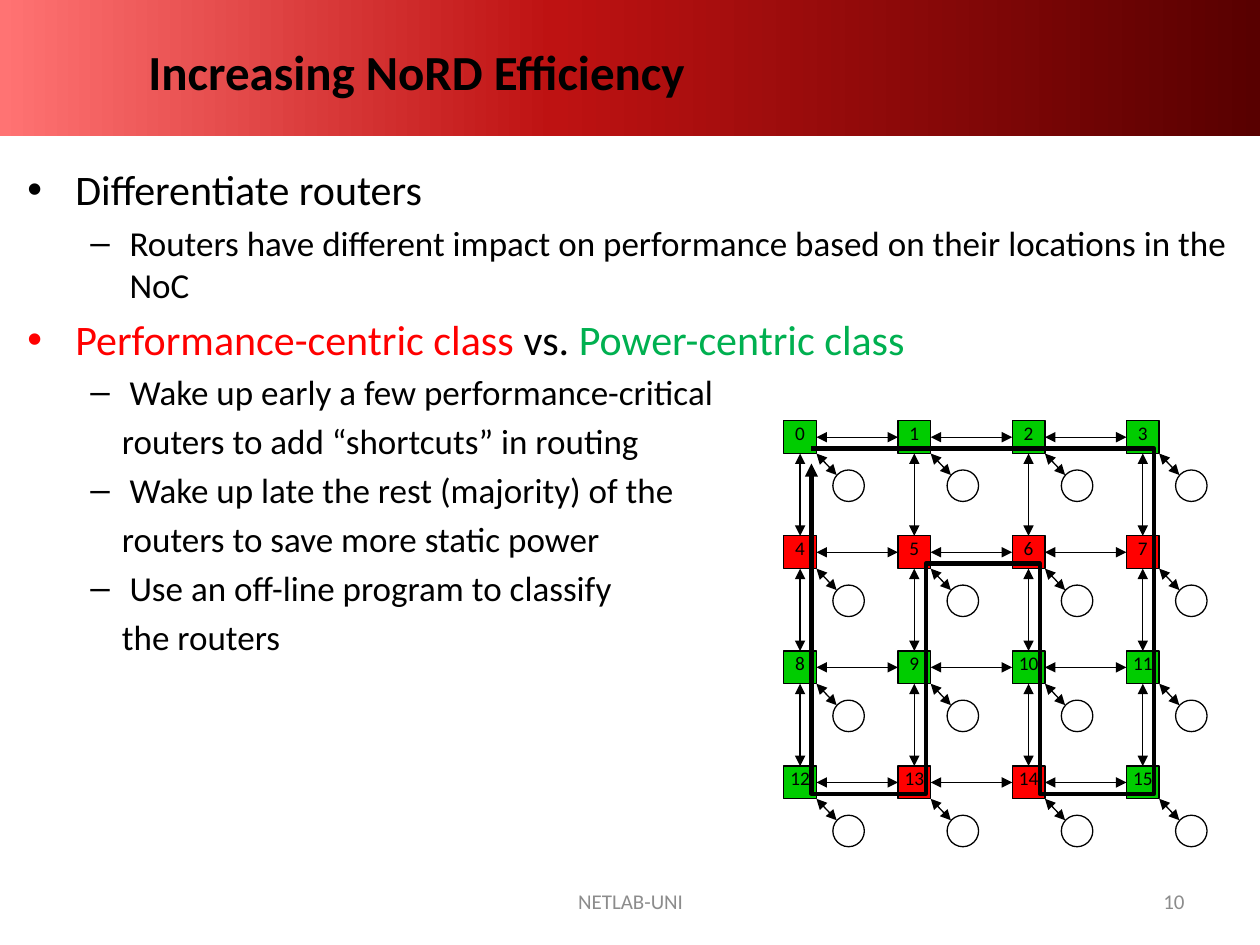
from copy import deepcopy

from lxml import etree
from pptx import Presentation
from pptx.dml.color import RGBColor
from pptx.enum.shapes import MSO_CONNECTOR, MSO_SHAPE
from pptx.enum.text import MSO_ANCHOR, PP_ALIGN
from pptx.oxml.ns import qn
from pptx.util import Inches, Pt

RECT, OVAL = MSO_SHAPE.RECTANGLE, MSO_SHAPE.OVAL
LINE = MSO_CONNECTOR.STRAIGHT
TOP, MIDDLE = MSO_ANCHOR.TOP, MSO_ANCHOR.MIDDLE
LEFT, CENTER, RIGHT = PP_ALIGN.LEFT, PP_ALIGN.CENTER, PP_ALIGN.RIGHT

COLORS = {"black": "000000", "red": "FF0000", "green": "00B050",
          "node": "00CC00", "gray": "8C8C8C", "pale": "FF7373",
          "mid": "BE1212", "dark": "580000"}
FONT = "Calibri"

# Router mesh, in inches
SIDE = 4
LEFT_X, TOP_Y = 6.22, 3.34
STEP_X, STEP_Y = 2.72 / 3, 2.74 / 3
BOX, CORE = 0.26, 0.25
CORE_GAP = 0.39
HOT = {4, 5, 6, 7, 13, 14}
RING = [(0, 0), (3, 0), (3, 3), (2, 3), (2, 1), (1, 1), (1, 3), (0, 3)]
RING_GAP = 0.22

# Paragraph levels: left margin, first-line indent, bullet, size
LEVELS = {"main": (0.38, -0.38, "\u2022", 24),
          "sub": (0.81, -0.31, "\u2013", 20),
          "more": (0.75, 0, None, 20)}
BODY = [
    ("main", [("Differentiate routers", "black")]),
    ("sub", [("Routers have different impact on performance based on "
              "their locations in the NoC", "black")]),
    ("main", [("Performance-centric class ", "red"), ("vs. ", "black"),
              ("Power-centric class", "green")]),
    ("sub", [("Wake up early a few performance-critical", "black")]),
    ("more", [("routers to add \u201cshortcuts\u201d in routing", "black")]),
    ("sub", [("Wake up late the rest (majority) of the", "black")]),
    ("more", [("routers to save more static power", "black")]),
    ("sub", [("Use an off-line program to classify", "black")]),
    ("more", [("the routers", "black")]),
]


def put(item, values):
    """Set each named value on an object."""
    for name, value in values.items():
        setattr(item, name, value)


def rgb(name):
    """Look up a named colour."""
    return RGBColor.from_string(COLORS[name])


def add_run(para, text, size, color="black", bold=False):
    """Add one styled run to a paragraph."""
    run = para.add_run()
    run.text = text
    put(run.font, {"name": FONT, "size": Pt(size), "bold": bold})
    run.font.color.rgb = rgb(color)


def add_text(slide, area, anchor=TOP):
    """Add an empty wrapping text box and return its frame."""
    frame = slide.shapes.add_textbox(*map(Inches, area)).text_frame
    put(frame, {"word_wrap": True, "vertical_anchor": anchor})
    return frame


def add_label(slide, area, text, align, size, **style):
    """Add a text box that holds a single line."""
    para = add_text(slide, area, MIDDLE).paragraphs[0]
    para.alignment = align
    add_run(para, text, size, **style)


def add_shape(shapes, kind, area, fill=None):
    """Add a thinly outlined shape, filled or hollow."""
    shape = shapes.add_shape(kind, *map(Inches, area))
    shape.shadow.inherit = False
    if fill:
        shape.fill.solid()
        shape.fill.fore_color.rgb = rgb(fill)
    else:
        shape.fill.background()
    set_line(shape, 0.75)
    return shape


def set_line(shape, width, *ends):
    """Give a shape a black line, with arrowheads at the named ends."""
    shape.line.color.rgb = rgb("black")
    shape.line.width = Pt(width)
    line = shape._element.spPr.find(qn("a:ln"))
    for end in ends:
        etree.SubElement(line, qn("a:" + end), type="triangle")


def add_link(shapes, *points):
    """Add a double-headed arrow from x1, y1 to x2, y2."""
    link = shapes.add_connector(LINE, *map(Inches, points))
    set_line(link, 0.75, "headEnd", "tailEnd")
    etree.SubElement(link._element.spPr, qn("a:effectLst"))


def add_band(slide):
    """Add the gradient band behind the title."""
    band = add_shape(slide.shapes, RECT, (0, 0, 10, 1.08))
    band.line.fill.background()
    band.fill.gradient()
    band.fill.gradient_angle = 0
    stops = band._element.spPr.find(".//" + qn("a:gsLst"))
    stops.insert(1, deepcopy(stops[0]))
    shades = [(0, "pale"), (0.44, "mid"), (1, "dark")]
    for stop, (place, color) in zip(band.fill.gradient_stops, shades):
        stop.position = place
        stop.color.rgb = rgb(color)


def add_body(slide):
    """Add the bulleted text."""
    frame = add_text(slide, (0.12, 1.25, 9.73, 5.42))
    for index, (level, runs) in enumerate(BODY):
        para = frame.add_paragraph() if index else frame.paragraphs[0]
        margin, indent, mark, size = LEVELS[level]
        para.space_before = Pt(size * 0.2)
        props = para._p.get_or_add_pPr()
        props.set("marL", str(Inches(margin)))
        props.set("indent", str(Inches(indent)))
        if mark:
            etree.SubElement(props, qn("a:buFont"), typeface="Arial")
            etree.SubElement(props, qn("a:buChar"), char=mark)
        for text, color in runs:
            add_run(para, text, size, color)


def spot(col, row):
    """Return the top left corner of a router."""
    return LEFT_X + col * STEP_X, TOP_Y + row * STEP_Y


def add_node(shapes, col, row):
    """Add a router, its core and the links that leave it."""
    x, y = spot(col, row)
    index = row * SIDE + col
    node = add_shape(shapes, RECT, (x, y, BOX, BOX),
                     "red" if index in HOT else "node")
    frame = node.text_frame
    put(frame, {"margin_left": 0, "margin_right": 0, "margin_top": 0,
                "margin_bottom": 0, "vertical_anchor": TOP})
    frame.paragraphs[0].alignment = CENTER
    add_run(frame.paragraphs[0], str(index), 11)
    add_shape(shapes, OVAL, (x + CORE_GAP, y + CORE_GAP, CORE, CORE))
    add_link(shapes, x + BOX, y + BOX, x + 0.42, y + 0.43)
    half = BOX / 2
    if col < SIDE - 1:
        add_link(shapes, x + BOX, y + half, x + STEP_X, y + half)
    if row < SIDE - 1:
        add_link(shapes, x + half, y + BOX, x + half, y + STEP_Y)


def add_ring(shapes):
    """Add the thick bypass ring through all routers."""
    points = [(x + RING_GAP, y + RING_GAP)
              for x, y in (spot(*cell) for cell in RING)]
    first = points[0]
    points.append((first[0], first[1] + 0.12))
    points = [(Inches(x), Inches(y)) for x, y in points]
    pen = shapes.build_freeform(*points[0])
    pen.add_line_segments(points[1:], close=False)
    ring = pen.convert_to_shape()
    ring.shadow.inherit = False
    ring.fill.background()
    set_line(ring, 2.5, "tailEnd")


def add_mesh(slide):
    """Add the grouped router mesh."""
    shapes = slide.shapes.add_group_shape().shapes
    for index in range(SIDE * SIDE):
        add_node(shapes, index % SIDE, index // SIDE)
    add_ring(shapes)


def main():
    """Build and save the slide."""
    deck = Presentation()
    put(deck, {"slide_width": Inches(10), "slide_height": Inches(7.5)})
    slide = deck.slides.add_slide(deck.slide_layouts[6])
    add_band(slide)
    add_label(slide, (1.08, 0.17, 8.42, 0.78), "Increasing NoRD Efficiency",
              LEFT, 28, bold=True)
    add_label(slide, (3.42, 6.95, 3.17, 0.4), "NETLAB-UNI", CENTER, 12,
              color="gray")
    add_label(slide, (7.17, 6.95, 2.33, 0.4), "10", RIGHT, 12, color="gray")
    add_body(slide)
    add_mesh(slide)
    deck.save("out.pptx")


main()
